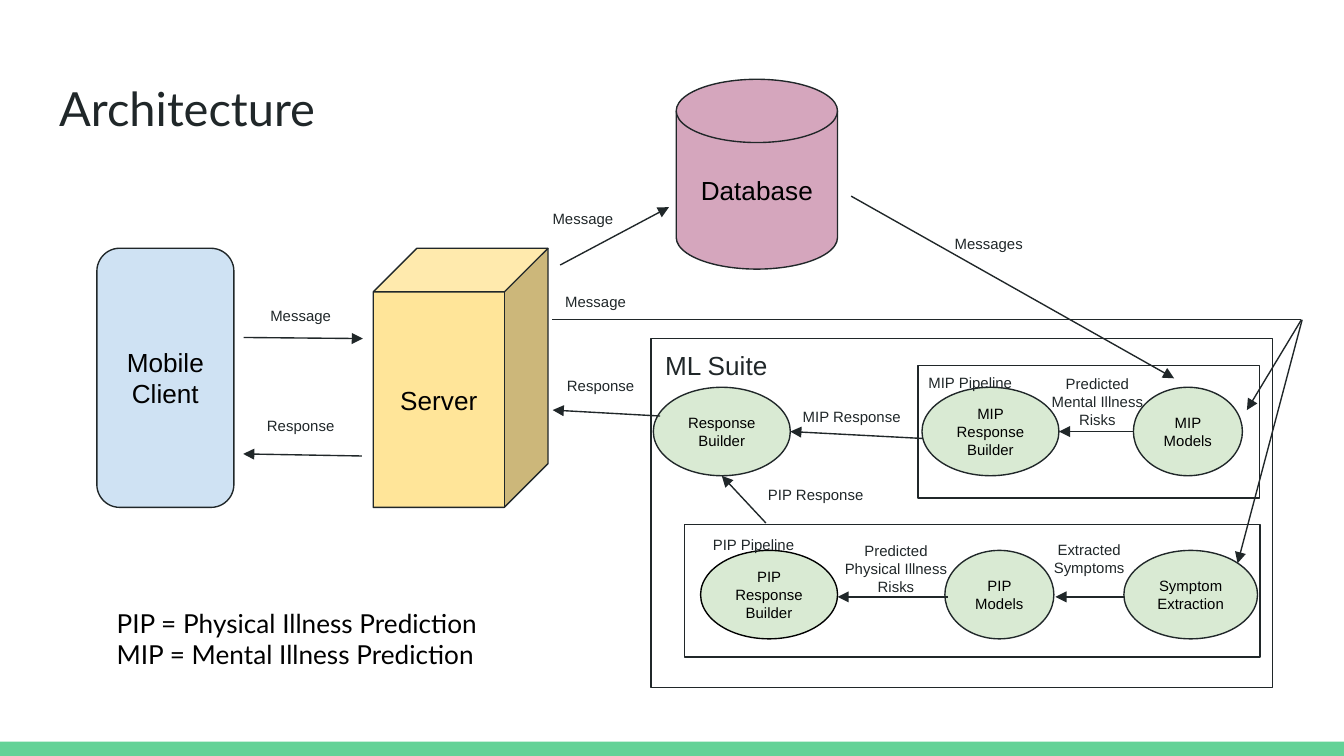
from dataclasses import dataclass

from lxml.etree import SubElement
from pptx import Presentation
from pptx.dml.color import RGBColor
from pptx.enum.shapes import MSO_CONNECTOR as Connector, MSO_SHAPE as Shape
from pptx.enum.text import MSO_ANCHOR as Anchor, MSO_AUTO_SIZE as AutoSize, PP_ALIGN as Align
from pptx.oxml.ns import qn
from pptx.util import Pt


@dataclass(frozen=True)
class Theme:
    """Colours, fonts and sizes of the diagram."""

    ink: str = "202729"
    black: str = "000000"
    accent: str = "63D297"
    client: str = "CFE2F3"
    server: str = "FFE599"
    database: str = "D5A6BD"
    step: str = "D9EAD3"
    heading_font: str = "Lato"
    body_font: str = "Arial"
    title_size: float = 25.2
    large_size: float = 14
    small_size: float = 8
    line_width: float = 0.75
    inset: float = 7.2


class DiagramSlide:
    """Draws styled elements on one slide, with lengths in points."""

    def __init__(self, slide, theme):
        """Keep the slide and its theme."""
        self.slide = slide
        self.theme = theme

    def fill_text(self, shape, lines, size, color, font, align, anchor):
        """Fill a shape with one paragraph per line."""
        frame = shape.text_frame
        frame.word_wrap = True
        frame.auto_size = AutoSize.NONE
        frame.vertical_anchor = anchor
        frame.margin_left = frame.margin_right = Pt(self.theme.inset)
        frame.margin_top = frame.margin_bottom = Pt(self.theme.inset)
        for index, line in enumerate(lines):
            paragraph = frame.add_paragraph() if index else frame.paragraphs[0]
            paragraph.alignment = align
            run = paragraph.add_run()
            run.text = line
            run.font.size = Pt(size)
            run.font.name = font
            run.font.color.rgb = RGBColor.from_string(color)

    def title(self, text, left, top, width, height):
        """Place the title placeholder."""
        shape = self.slide.shapes.title
        shape.left, shape.top, shape.width, shape.height = map(Pt, (left, top, width, height))
        self.fill_text(shape, [text], self.theme.title_size, self.theme.ink,
                       self.theme.heading_font, Align.LEFT, Anchor.TOP)

    def box(self, kind, left, top, width, height, fill=None, line=None, text=None, size=None):
        """Add a preset shape with optional fill, outline and centred text."""
        shape = self.slide.shapes.add_shape(kind, *map(Pt, (left, top, width, height)))
        shape.shadow.inherit = False
        if fill:
            shape.fill.solid()
            shape.fill.fore_color.rgb = RGBColor.from_string(fill)
        else:
            shape.fill.background()
        if line:
            shape.line.color.rgb = RGBColor.from_string(line)
            shape.line.width = Pt(self.theme.line_width)
        else:
            shape.line.fill.background()
        if text:
            self.fill_text(shape, [text], size, self.theme.black, self.theme.body_font,
                           Align.CENTER, Anchor.MIDDLE)

    def label(self, lines, left, top, width, height, size, color, font, align=Align.LEFT):
        """Add a text box."""
        shape = self.slide.shapes.add_textbox(*map(Pt, (left, top, width, height)))
        self.fill_text(shape, lines, size, color, font, align, Anchor.TOP)

    def line(self, start, end, arrow=True):
        """Add a straight line, with an arrowhead at its end if wanted."""
        connector = self.slide.shapes.add_connector(
            Connector.STRAIGHT, *map(Pt, (*start, *end)))
        connector.line.color.rgb = RGBColor.from_string(self.theme.ink)
        connector.line.width = Pt(self.theme.line_width)
        properties = connector._element.spPr
        if arrow:
            SubElement(properties.find(qn("a:ln")), qn("a:tailEnd"), type="triangle")
        SubElement(properties, qn("a:effectLst"))


def main():
    """Build the architecture slide."""
    theme = Theme()
    presentation = Presentation()
    presentation.slide_width, presentation.slide_height = Pt(720), Pt(405)
    diagram = DiagramSlide(presentation.slides.add_slide(presentation.slide_layouts[5]), theme)

    diagram.box(Shape.RECTANGLE, 0, 397.4, 720, 7.6, theme.accent)
    diagram.title("Architecture", 24.5, 35.3, 671, 45.4)

    frames = [(491.9, 195.9, 183, 71), (348.7, 181.4, 332.9, 186.9), (366.8, 281, 308.2, 71)]
    for frame in frames:
        diagram.box(Shape.RECTANGLE, *frame, line=theme.ink)

    systems = [
        (Shape.ROUNDED_RECTANGLE, 51.9, 133, 73.4, 138.8, theme.client, "Mobile Client"),
        (Shape.FLOWCHART_MAGNETIC_DISK, 362.3, 42.5, 86.4, 101.7, theme.database, "Database"),
        (Shape.CUBE, 200, 133, 93.6, 138.8, theme.server, "Server"),
    ]
    for kind, left, top, width, height, fill, text in systems:
        diagram.box(kind, left, top, width, height, fill, theme.ink, text, theme.large_size)

    mip_row, pip_row = 207.5, 294.9
    wide, narrow, step_height = 73.4, 58.4, 47.4
    steps = [
        ("Response Builder", 350, mip_row, wide, theme.ink),
        ("MIP Response Builder", 493.9, mip_row, wide, theme.ink),
        ("MIP Models", 607.2, mip_row, narrow, theme.ink),
        ("PIP Response Builder", 375.3, pip_row, wide, theme.black),
        ("PIP Models", 506.2, pip_row, narrow, theme.ink),
        ("Symptom Extraction", 602.1, pip_row, 71.6, theme.ink),
    ]
    for text, left, top, width, outline in steps:
        diagram.box(Shape.OVAL, left, top, width, step_height, theme.step, outline,
                    text, theme.small_size)

    arrows = [
        ((130.5, 180.8), (194.4, 181.4)),
        ((193.9, 244.3), (130.3, 243.2)),
        ((300.1, 142), (358.4, 111)),
        ((456, 105.1), (629, 202.7)),
        ((353.7, 222.9), (296.1, 219.7)),
        ((493.9, 234.9), (423.4, 231.2)),
        ((607.2, 231.2), (567.3, 231.2)),
        ((410.3, 280.2), (386.7, 254.9)),
        ((507.8, 319.8), (448.7, 319.8)),
        ((601.9, 319.8), (565.4, 319.8)),
        ((697.2, 171.3), (668, 219.7)),
        ((697.6, 171.3), (663, 301.8)),
    ]
    for start, end in arrows:
        diagram.line(start, end)
    diagram.line((295.8, 171.3), (697.2, 171.3), arrow=False)

    label_width = 73.4
    labels = [
        ("Message", 124.4, 157),
        ("Response", 124.4, 216.2),
        ("Message", 275.6, 105.1),
        ("Message", 282.4, 149.8),
        ("Response", 285.1, 194.4),
        ("Messages", 493, 118.6),
        ("MIP Response", 419.6, 211),
        ("PIP Response", 400.3, 252.7),
        ("MIP Pipeline", 483.1, 192.7),
        ("PIP Pipeline", 367, 279.5),
        ("Predicted Mental Illness Risks", 551.2, 193.6),
        ("Predicted Physical Illness Risks", 443.3, 283),
        ("Extracted Symptoms", 546.8, 282.6),
    ]
    for text, left, top in labels:
        height = 24.5 if len(text) < 14 else 43.9
        diagram.label([text], left, top, label_width, height, theme.small_size,
                      theme.ink, theme.body_font, Align.CENTER)

    diagram.label(["ML Suite"], 349.2, 180, label_width, 31.7, theme.large_size,
                  theme.ink, theme.body_font)
    diagram.label(["PIP = Physical Illness Prediction", "MIP = Mental Illness Prediction"],
                  55.4, 318.2, 213.1, 48.2, theme.large_size, theme.black, theme.heading_font)

    presentation.save("out.pptx")


if __name__ == "__main__":
    main()
